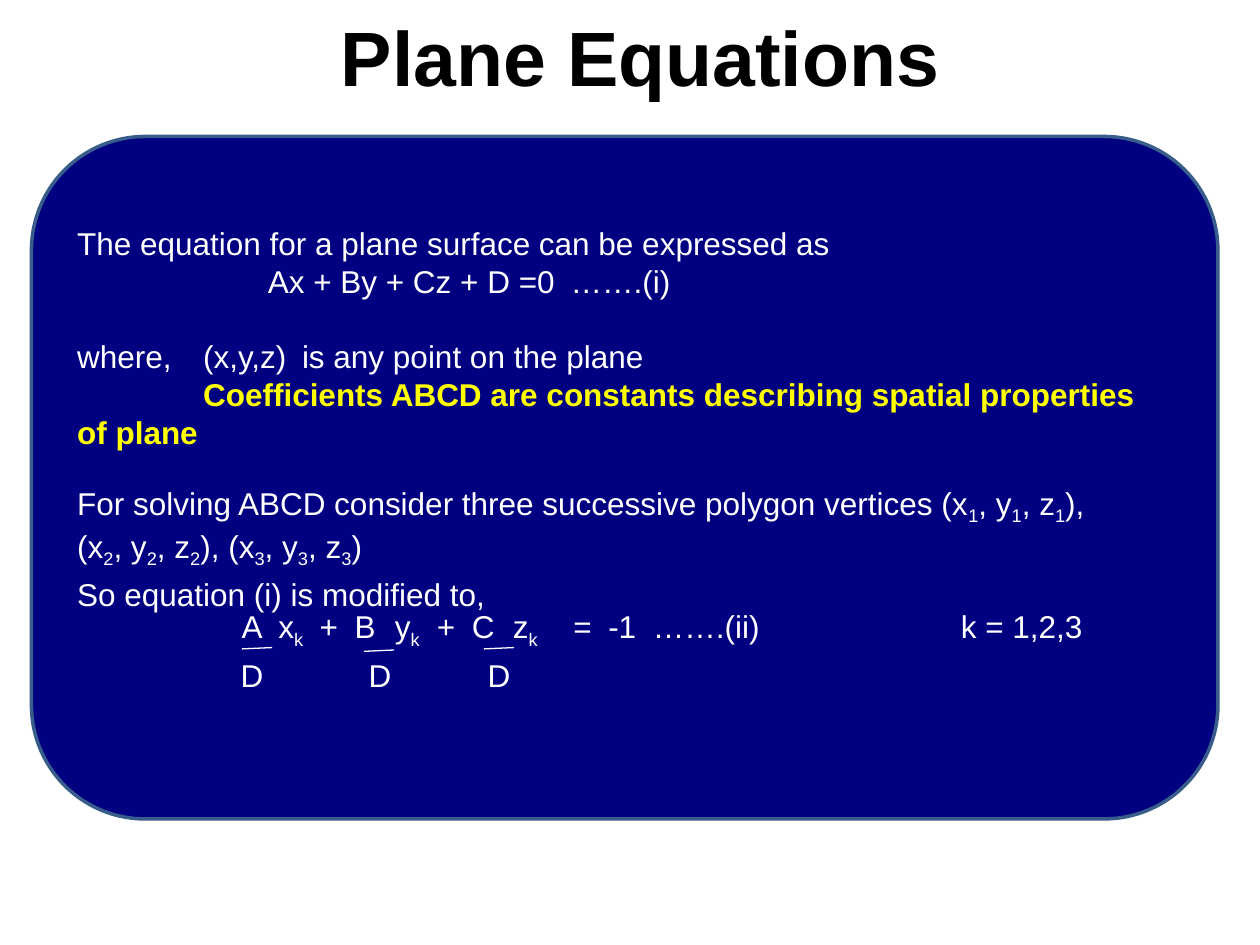
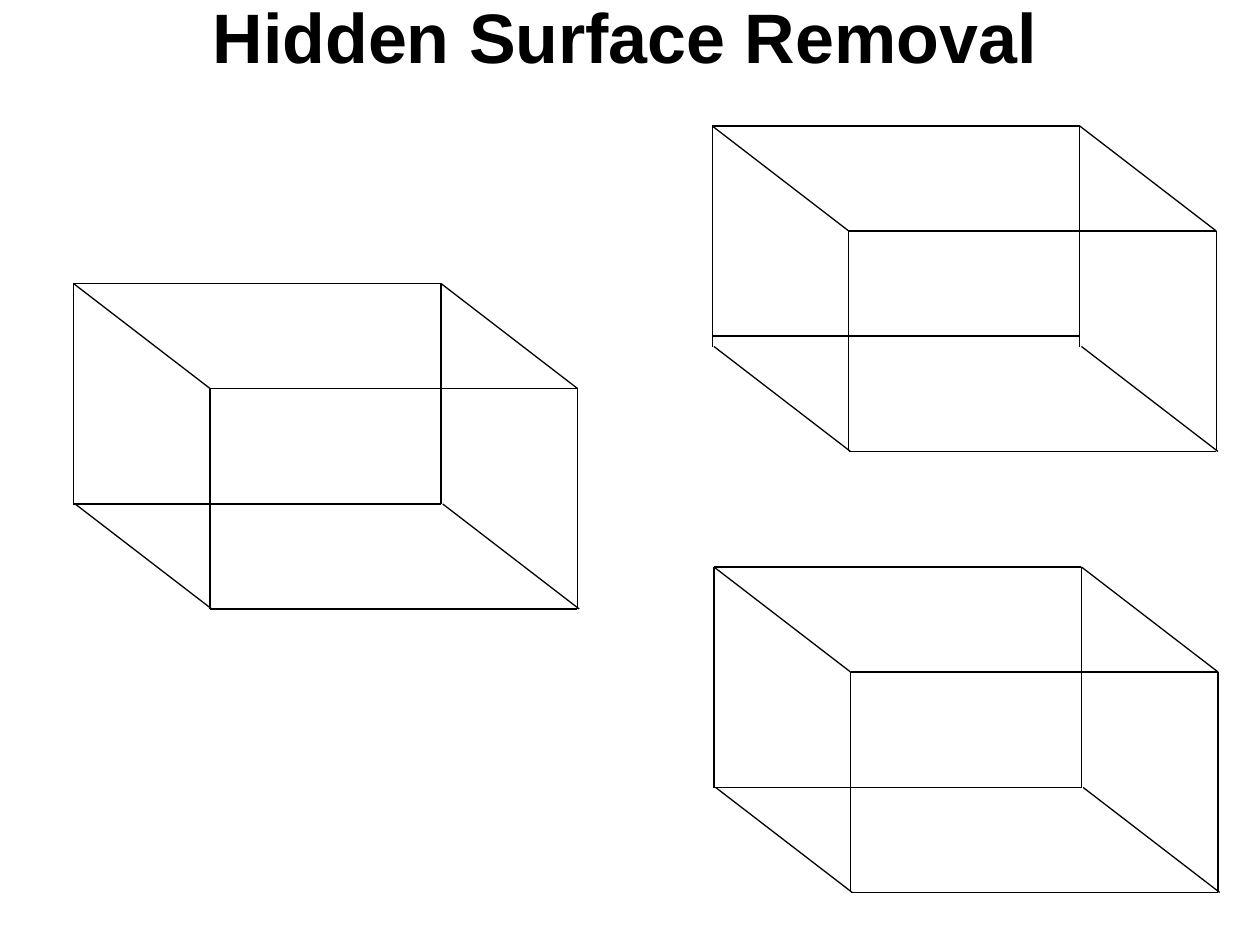
"""Builds two slides on plane equations and hidden surface removal."""
from lxml.etree import SubElement
from pptx import Presentation
from pptx.dml.color import RGBColor
from pptx.enum.shapes import MSO_CONNECTOR, MSO_SHAPE
from pptx.enum.text import MSO_ANCHOR, MSO_AUTO_SIZE, PP_ALIGN
from pptx.oxml.ns import qn
from pptx.util import Pt

BLACK, WHITE, YELLOW, NAVY, STEEL = "000000", "FFFFFF", "FFFF00", "000080", "385D8A"
FONT = "Arial"
LINE, SUB_LINE = 21.6, 24.6
SUB_GAP = SUB_LINE - LINE

TITLES = [
    ("Plane Equations", 44, (60, -26, 612, 116)),
    ("Hidden Surface Removal", 40, (18, -37.5, 678, 116)),
]
PANEL = (18, 78, 678, 390)
FRAME = dict(margin_left=Pt(7.2), margin_right=Pt(7.2), margin_top=Pt(3.6),
             margin_bottom=Pt(3.6 + LINE), vertical_anchor=MSO_ANCHOR.MIDDLE,
             word_wrap=True)

# "_" lowers the next character; "\t" jumps to the next stop; "\v" breaks the line
LINES = [
    dict(text="The equation for a plane surface can be expressed as"),
    dict(text="\tAx + By + Cz + D =0\t…….(i)", stops=(109, 282)),
    dict(text="where,\t(x,y,z)\tis any point on the plane", stops=(72, 128.5), before=LINE),
    dict(text="\tCoefficients ABCD are constants describing spatial properties\vof plane",
         stops=(72,), color=YELLOW, bold=True),
    dict(text="For solving ABCD consider three successive polygon vertices "
              "(x_1, y_1, z_1),\v(x_2, y_2, z_2), (x_3, y_3, z_3)",
         before=LINE - SUB_GAP, pitch=SUB_LINE),
    dict(text="So equation (i) is modified to,", before=SUB_GAP),
    dict(text="\tA\tx_k\t+\tB\ty_k\t+\tC\tz_k\t=\t-1\t…….(ii)\tk = 1,2,3",
         stops=(94, 115, 138.5, 158.5, 181.5, 205.5, 225.5, 249, 283.5, 303.5, 329, 505)),
    dict(text="\tD\tD\tD", stops=(93.5, 166.5, 234.5), before=SUB_GAP),
]
FRACTION_BARS = [(138.25, 370.8), (208, 372.2), (276.5, 370.8)]
BAR_W, BAR_RISE = 17.25, 0.75

BOX_W, BOX_H, DEPTH_X, DEPTH_Y = 210, 126, 78, 60
BOXES = [(42, 162, BOX_H), (407, 72, 120), (408, 324, BOX_H)]


def rgb(color):
    """Turn a hex string into a colour."""
    return RGBColor.from_string(color)


def apply(obj, values):
    """Set every attribute in values on obj."""
    for name, value in values.items():
        setattr(obj, name, value)


def add_run(p, text, size, color=BLACK, bold=False, sub=False):
    """Add a formatted run, lowered when sub is set."""
    r = p.add_run()
    r.text = text
    apply(r.font, dict(name=FONT, size=Pt(size), bold=bold))
    r.font.color.rgb = rgb(color)
    if sub:
        r.font._element.set("baseline", "-25000")


def add_line(s, x1, y1, x2, y2, color=BLACK):
    """Draw a thin straight line without a shadow."""
    c = s.shapes.add_connector(MSO_CONNECTOR.STRAIGHT, Pt(x1), Pt(y1), Pt(x2), Pt(y2))
    c.line.width = Pt(0.75)
    c.line.color.rgb = rgb(color)
    SubElement(c._element.spPr, qn("a:effectLst"))


def add_slide(prs, title, size, box):
    """Add a slide with a bold centred title."""
    s = prs.slides.add_slide(prs.slide_layouts[5])
    sp = s.shapes.title
    apply(sp, dict(zip(("left", "top", "width", "height"), map(Pt, box))))
    apply(sp.text_frame, dict(vertical_anchor=MSO_ANCHOR.MIDDLE, word_wrap=True,
                              auto_size=MSO_AUTO_SIZE.NONE))
    p = sp.text_frame.paragraphs[0]
    p.alignment = PP_ALIGN.CENTER
    add_run(p, title, size, bold=True)
    return s


def write_line(p, text, stops=(), color=WHITE, bold=False, before=0, pitch=LINE):
    """Write one paragraph with its tab stops, breaks and subscripts."""
    apply(p, dict(alignment=PP_ALIGN.LEFT, line_spacing=Pt(pitch), space_before=Pt(before)))
    if stops:
        tabs = SubElement(p._p.get_or_add_pPr(), qn("a:tabLst"))
        for stop in stops:
            SubElement(tabs, qn("a:tab"), pos=str(Pt(stop)), algn="l")
    for i, row in enumerate(text.split("\v")):
        if i:
            p.add_line_break()
        head, *rest = row.split("_")
        add_run(p, head, 18, color, bold)
        for part in rest:
            add_run(p, part[0], 18, color, bold, sub=True)
            if part[1:]:
                add_run(p, part[1:], 18, color, bold)


def add_panel(s):
    """Add the rounded panel with the derivation and its fraction bars."""
    sp = s.shapes.add_shape(MSO_SHAPE.ROUNDED_RECTANGLE, *map(Pt, PANEL))
    sp.shadow.inherit = False
    sp.fill.solid()
    sp.fill.fore_color.rgb = rgb(NAVY)
    sp.line.color.rgb = rgb(STEEL)
    sp.line.width = Pt(2)
    tf = sp.text_frame
    apply(tf, FRAME)
    for i, line in enumerate(LINES):
        write_line(tf.add_paragraph() if i else tf.paragraphs[0], **line)
    for x, y in FRACTION_BARS:
        add_line(s, x, y, x + BAR_W, y - BAR_RISE, WHITE)


def add_wire_box(s, x, y, back_h):
    """Draw a wireframe box whose rear floor edge lies back_h below its top."""
    for dx, dy, floor in ((0, 0, back_h), (DEPTH_X, DEPTH_Y, BOX_H)):
        left, top = x + dx, y + dy
        right = left + BOX_W
        for level in (top, top + floor):
            add_line(s, left, level, right, level)
        for side in (left, right):
            add_line(s, side, top, side, top + BOX_H)
    for shift, drop in ((0, 0), (1, BOX_H)):
        for side in (x, x + BOX_W):
            add_line(s, side + shift, y + drop, side + shift + DEPTH_X, y + drop + DEPTH_Y)


def main():
    """Build and save the slides."""
    prs = Presentation()
    prs.slide_width, prs.slide_height = Pt(720), Pt(540)
    equations, removal = [add_slide(prs, *title) for title in TITLES]
    add_panel(equations)
    for box in BOXES:
        add_wire_box(removal, *box)
    prs.save("out.pptx")


if __name__ == "__main__":
    main()
